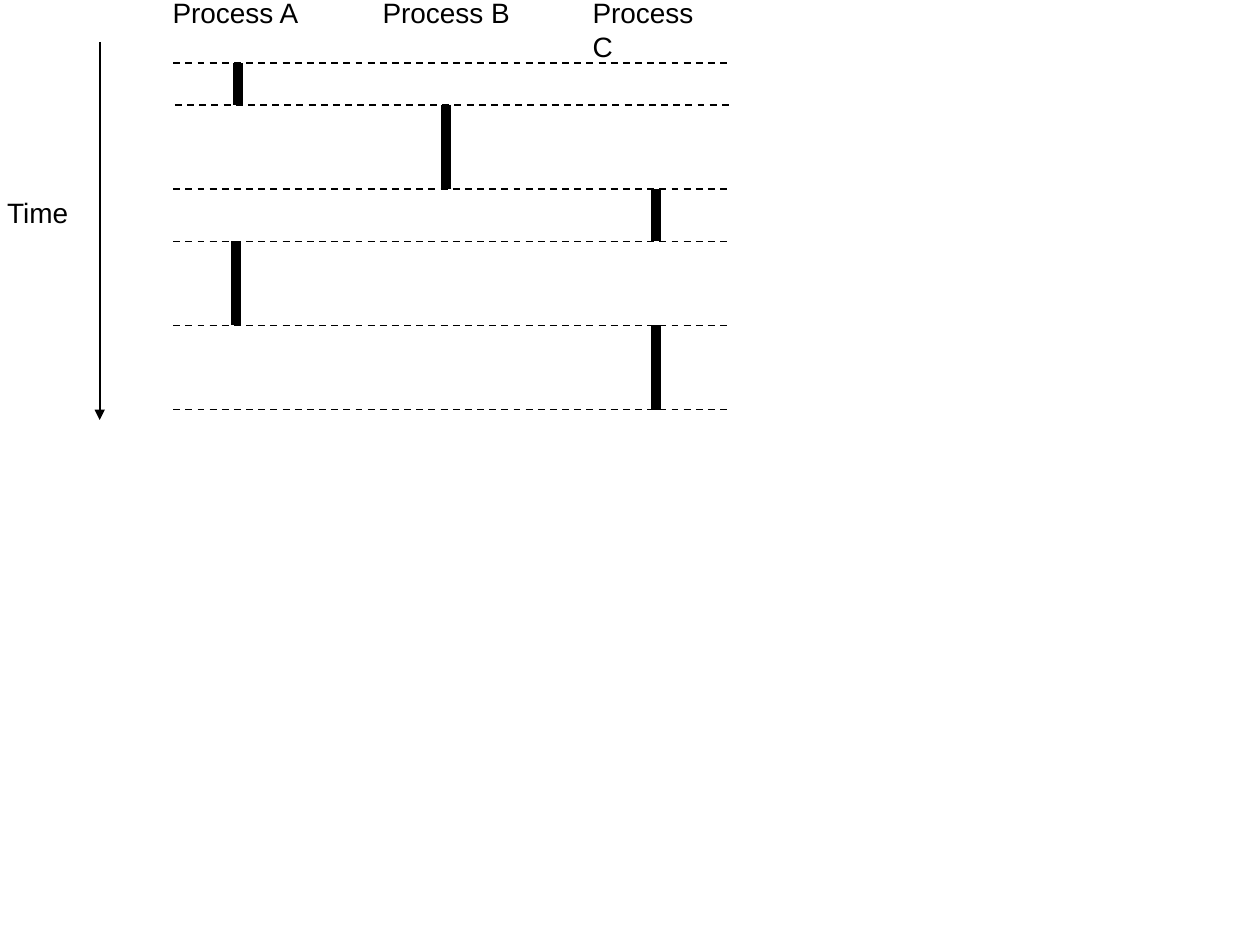
from dataclasses import dataclass
from itertools import pairwise

from lxml.etree import SubElement
from pptx import Presentation
from pptx.dml.color import RGBColor
from pptx.enum.dml import MSO_LINE
from pptx.enum.shapes import MSO_CONNECTOR
from pptx.enum.text import MSO_ANCHOR, MSO_AUTO_SIZE
from pptx.oxml.ns import qn
from pptx.util import Pt


@dataclass(frozen=True)
class Theme:
    ink: RGBColor = RGBColor(0, 0, 0)
    font: str = "Arial"
    text_size: float = 16
    thin: float = 1
    thick: float = 6


THEME = Theme()
LABEL_HEIGHT = 26.6
COLUMN_PITCH = 120
PROCESSES = ["Process A", "Process B", "Process C"]
# Moments of a process switch, in points below the top of the schedule
SWITCHES = [0, 24, 72, 102, 150, 198]
# Column that runs between each pair of switches, and its sideways shift
RUNS = [(0, 1), (1, 0), (2, 0), (0, 0), (2, 0)]
# Sideways shift of each switch line
LINE_SHIFTS = [0, 1, 0, 0, 0, 0]


def add_line(slide, x1, y1, x2, y2, width, dashed=False, arrow=False):
    line = slide.shapes.add_connector(
        MSO_CONNECTOR.STRAIGHT, Pt(x1), Pt(y1), Pt(x2), Pt(y2))
    line.line.color.rgb = THEME.ink
    line.line.width = Pt(width)
    if dashed:
        line.line.dash_style = MSO_LINE.DASH
    if arrow:
        SubElement(line.line._get_or_add_ln(), qn("a:tailEnd"), type="triangle")
    SubElement(line._element.spPr, qn("a:effectLst"))


def add_label(slide, text, x, y, width):
    tb = slide.shapes.add_textbox(Pt(x), Pt(y), Pt(width), Pt(LABEL_HEIGHT))
    tf = tb.text_frame
    tf.text = text
    tf.word_wrap = False
    tf.auto_size = MSO_AUTO_SIZE.SHAPE_TO_FIT_TEXT
    tf.vertical_anchor = MSO_ANCHOR.TOP
    font = tf.paragraphs[0].runs[0].font
    font.name = THEME.font
    font.size = Pt(THEME.text_size)
    font.color.rgb = THEME.ink


def add_time_axis(slide, x, y, width, height):
    """Time label at the left, downward arrow along the right edge."""
    add_line(slide, x + width, y, x + width, y + height, THEME.thin, arrow=True)
    add_label(slide, "Time", x, y + 84, 49.7)


def add_headings(slide, x, y, width):
    for i, name in enumerate(PROCESSES):
        add_label(slide, name, x + i * COLUMN_PITCH, y, width)


def add_schedule(slide, x, y, width):
    """Thick bars for running processes, dashed lines at the switches."""
    for (col, shift), (start, end) in zip(RUNS, pairwise(SWITCHES)):
        bar_x = x + 36 + col * COLUMN_PITCH + shift
        add_line(slide, bar_x, y + start, bar_x, y + end, THEME.thick)
    for switch, shift in zip(SWITCHES, LINE_SHIFTS):
        add_line(slide, x + shift, y + switch, x + width + shift, y + switch,
                 THEME.thin, dashed=True)


def main():
    prs = Presentation()
    prs.slide_width, prs.slide_height = Pt(720), Pt(540)
    s = prs.slides.add_slide(prs.slide_layouts[6])
    add_time_axis(s, -3, 24, 60, 216)
    add_headings(s, 91.5, -6, 87.5)
    add_schedule(s, 99, 36, 318)
    prs.save("out.pptx")


if __name__ == "__main__":
    main()
